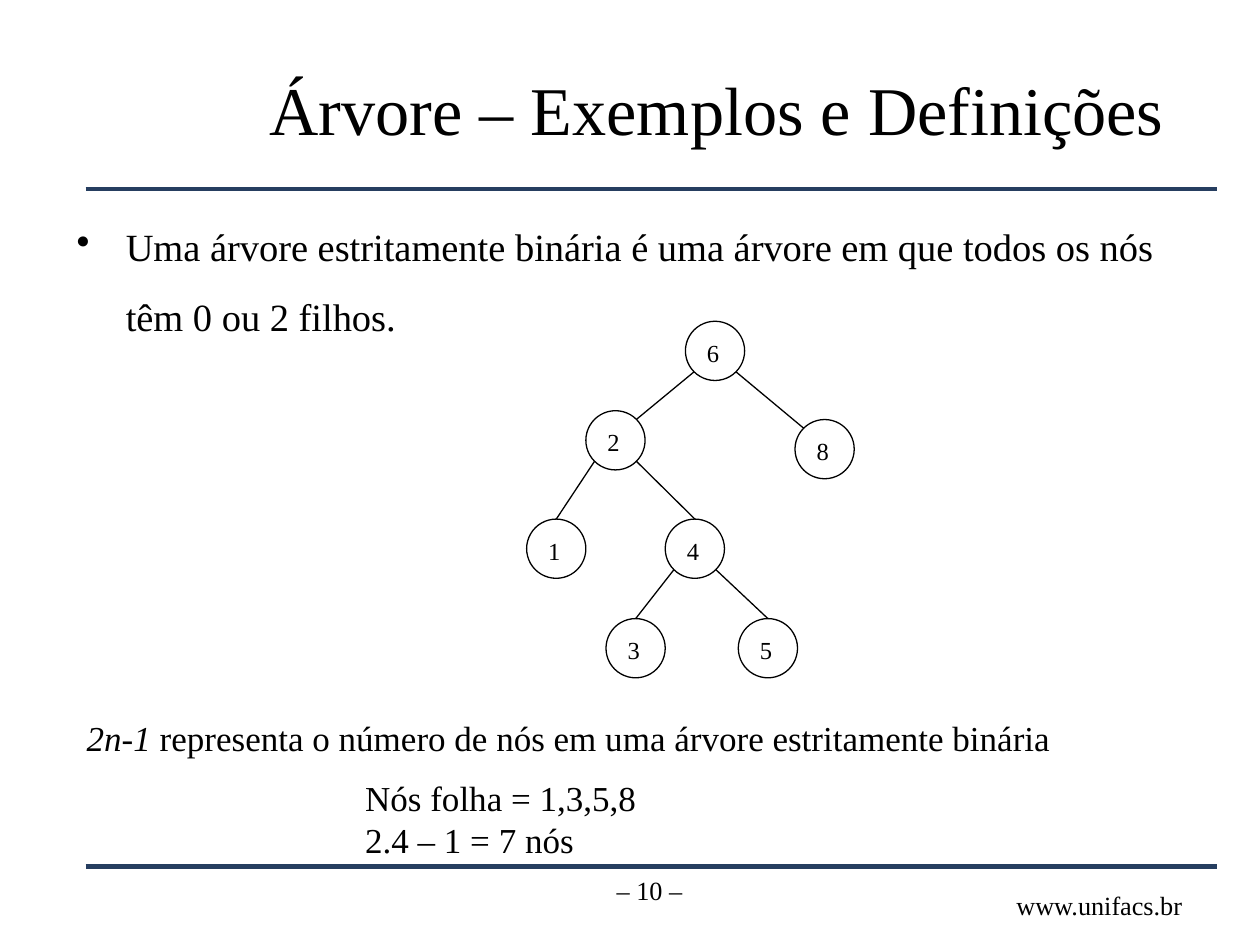
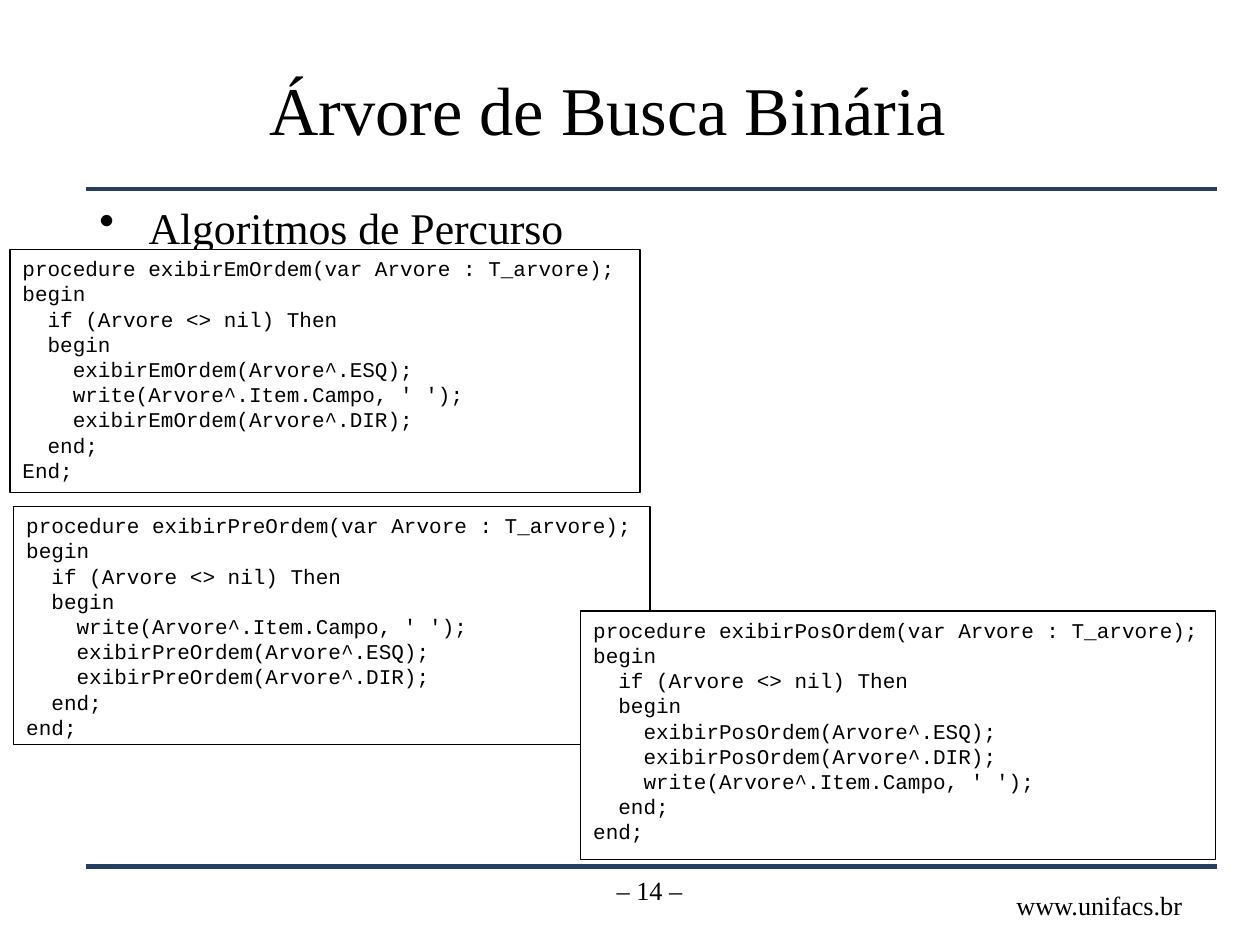
from math import sqrt

from lxml.etree import SubElement
from pptx import Presentation
from pptx.dml.color import RGBColor
from pptx.enum.shapes import MSO_CONNECTOR, MSO_SHAPE
from pptx.enum.text import MSO_ANCHOR as Anchor, PP_ALIGN as Align
from pptx.oxml.ns import qn
from pptx.util import Inches, Pt

SLIDE_WIDTH, SLIDE_HEIGHT = 10, 7.5
BLACK, WHITE, NAVY = "000000", "FFFFFF", "263E60"
SERIF, MONO = "Times New Roman", "Courier New"
SITE = "www.unifacs.br"
RULE_LEFT, RULE_RIGHT = 0.68, 9.66
RULE_TOPS = (1.5, 6.88)
TITLE_BOX = (2.04, 0.32, 7.61, 1.07)
PAGE_BOX = (3.99, 6.89, 2.33, 0.52)
SITE_BOX = (7.79, 7.06, 1.87, 0.23)
MARGINS = (0.1, 0.05, 0.1, 0.05)
BULLET_MARGINS = (0.1, 0.08, 0.1, 0.05)
BULLET_INDENT = 0.39

TREE_TITLE = "Árvore – Exemplos e Definições"
TREE_BULLET = ("Uma árvore estritamente binária é uma árvore em que "
               "todos os nós têm 0 ou 2 filhos.")
NODE_SIZE = 0.47
NODES = {  # label: left, top
    "6": (5.44, 2.55),
    "2": (4.65, 3.26), "8": (6.31, 3.33),
    "1": (4.18, 4.12), "4": (5.28, 4.12),
    "3": (4.81, 4.91), "5": (5.86, 4.91),
}
CHILDREN = {"6": "28", "2": "14", "4": "35"}
ROOT = "6"
NODE_COUNT = [[("2n-1", {"italic": True}),
               (" representa o número de nós em uma árvore estritamente binária", {})]]
LEAF_COUNT = ["Nós folha = 1,3,5,8", "2.4 – 1 = 7 nós"]

SEARCH_TITLE = "Árvore de Busca Binária"
SEARCH_BULLET = "Algoritmos de Percurso"
WRITE = "write(Arvore^.Item.Campo, ' ');"
LEFT, RIGHT = "{name}(Arvore^.ESQ);", "{name}(Arvore^.DIR);"
TRAVERSALS = [  # procedure, steps, last line, box
    ("exibirEmOrdem", (LEFT, WRITE, RIGHT), "End;", (0.08, 1.98, 5, 1.93)),
    ("exibirPreOrdem", (WRITE, LEFT, RIGHT), "end;", (0.11, 4.02, 5.05, 1.89)),
    ("exibirPosOrdem", (LEFT, RIGHT, WRITE), "end;", (4.61, 4.85, 5.04, 1.97)),
]


def color(value):
    return RGBColor.from_string(value)


def inches(values):
    return [Inches(value) for value in values]


def set_all(target, values):
    for name, value in values.items():
        setattr(target, name, value)


def write(shape, paragraphs, size, font=SERIF, align=Align.LEFT,
          anchor=Anchor.TOP, margins=MARGINS):
    """Fill a shape with paragraphs, each a string or a list of (text, format)."""
    frame = shape.text_frame
    sides = ("margin_left", "margin_top", "margin_right", "margin_bottom")
    set_all(frame, {"word_wrap": True, "vertical_anchor": anchor,
                    **dict(zip(sides, inches(margins)))})
    for index, content in enumerate(paragraphs):
        paragraph = frame.add_paragraph() if index else frame.paragraphs[0]
        paragraph.alignment = align
        runs = [(content, {})] if isinstance(content, str) else content
        for text, extra in runs:
            run = paragraph.add_run()
            run.text = text
            set_all(run.font, {"name": font, "size": Pt(size), **extra})
            run.font.color.rgb = color(BLACK)
    return frame


def add_text(slide, box, paragraphs, size, **options):
    return write(slide.shapes.add_textbox(*inches(box)), paragraphs, size, **options)


def add_bullet(slide, box, text, size, line_spacing=1.0):
    frame = add_text(slide, box, [text], size, margins=BULLET_MARGINS)
    paragraph = frame.paragraphs[0]
    properties = paragraph._p.get_or_add_pPr()
    properties.set("marL", str(Inches(BULLET_INDENT)))
    properties.set("indent", str(-Inches(BULLET_INDENT)))
    SubElement(properties, qn("a:buChar")).set("char", "•")
    paragraph.line_spacing = line_spacing


def add_line(slide, start, end, line_color=BLACK, width=0.75):
    line = slide.shapes.add_connector(MSO_CONNECTOR.STRAIGHT, *inches(start + end))
    line.line.color.rgb = color(line_color)
    line.line.width = Pt(width)
    SubElement(line._element.spPr, qn("a:effectLst"))


def add_outlined(slide, kind, box, fill=None):
    shape = slide.shapes.add_shape(kind, *inches(box))
    shape.shadow.inherit = False
    if fill:
        shape.fill.solid()
        shape.fill.fore_color.rgb = color(fill)
    else:
        shape.fill.background()
    shape.line.color.rgb = color(BLACK)
    shape.line.width = Pt(0.75)
    return shape


def add_base_slide(presentation, title, number):
    """Add a slide with the title, rules and footer that all slides share."""
    slide = presentation.slides.add_slide(presentation.slide_layouts[6])
    for top in RULE_TOPS:
        add_line(slide, (RULE_LEFT, top), (RULE_RIGHT, top), NAVY, 2.83)
    add_text(slide, SITE_BOX, [SITE], 15, align=Align.CENTER, margins=(0, 0, 0, 0))
    add_text(slide, PAGE_BOX, [f"– {number} –"], 15, align=Align.CENTER)
    add_text(slide, TITLE_BOX, [title], 39, anchor=Anchor.MIDDLE)
    return slide


def node_point(label, across, down):
    """Point of a node's rim, in the direction (across, down) from its centre."""
    left, top = NODES[label]
    radius = NODE_SIZE / 2
    reach = radius / sqrt(across ** 2 + down ** 2)
    return left + radius + across * reach, top + radius + down * reach


def add_tree(slide):
    for label, corner in NODES.items():
        node = add_outlined(slide, MSO_SHAPE.OVAL, corner + (NODE_SIZE, NODE_SIZE))
        write(node, [label], 14, align=Align.CENTER, anchor=Anchor.MIDDLE,
              margins=(0, 0.03, 0.03, 0))
    for parent, children in CHILDREN.items():
        for child, side in zip(children, (-1, 1)):
            lean = -side if parent == ROOT else 0
            add_line(slide, node_point(parent, side, 1), node_point(child, lean, -1))


def procedure_lines(name, steps, last_line):
    return [f"procedure {name}(var Arvore : T_arvore);", "begin",
            "  if (Arvore <> nil) Then", "  begin",
            *("    " + step.format(name=name) for step in steps),
            "  end;", last_line]


def add_tree_slide(presentation):
    slide = add_base_slide(presentation, TREE_TITLE, 10)
    add_bullet(slide, (0.51, 1.51, 9.14, 1.21), TREE_BULLET, 22, line_spacing=1.5)
    add_tree(slide)
    add_text(slide, (0.59, 5.64, 7.9, 0.44), NODE_COUNT, 20)
    add_text(slide, (2.8, 6.11, 2.86, 0.77), LEAF_COUNT, 20)


def add_search_slide(presentation):
    slide = add_base_slide(presentation, SEARCH_TITLE, 14)
    add_bullet(slide, (0.69, 1.51, 5.25, 0.9), SEARCH_BULLET, 25)
    for name, steps, last_line, box in TRAVERSALS:
        panel = add_outlined(slide, MSO_SHAPE.RECTANGLE, box, WHITE)
        write(panel, procedure_lines(name, steps, last_line), 12, font=MONO)


def main():
    presentation = Presentation()
    presentation.slide_width = Inches(SLIDE_WIDTH)
    presentation.slide_height = Inches(SLIDE_HEIGHT)
    add_tree_slide(presentation)
    add_search_slide(presentation)
    presentation.save("out.pptx")


if __name__ == "__main__":
    main()
